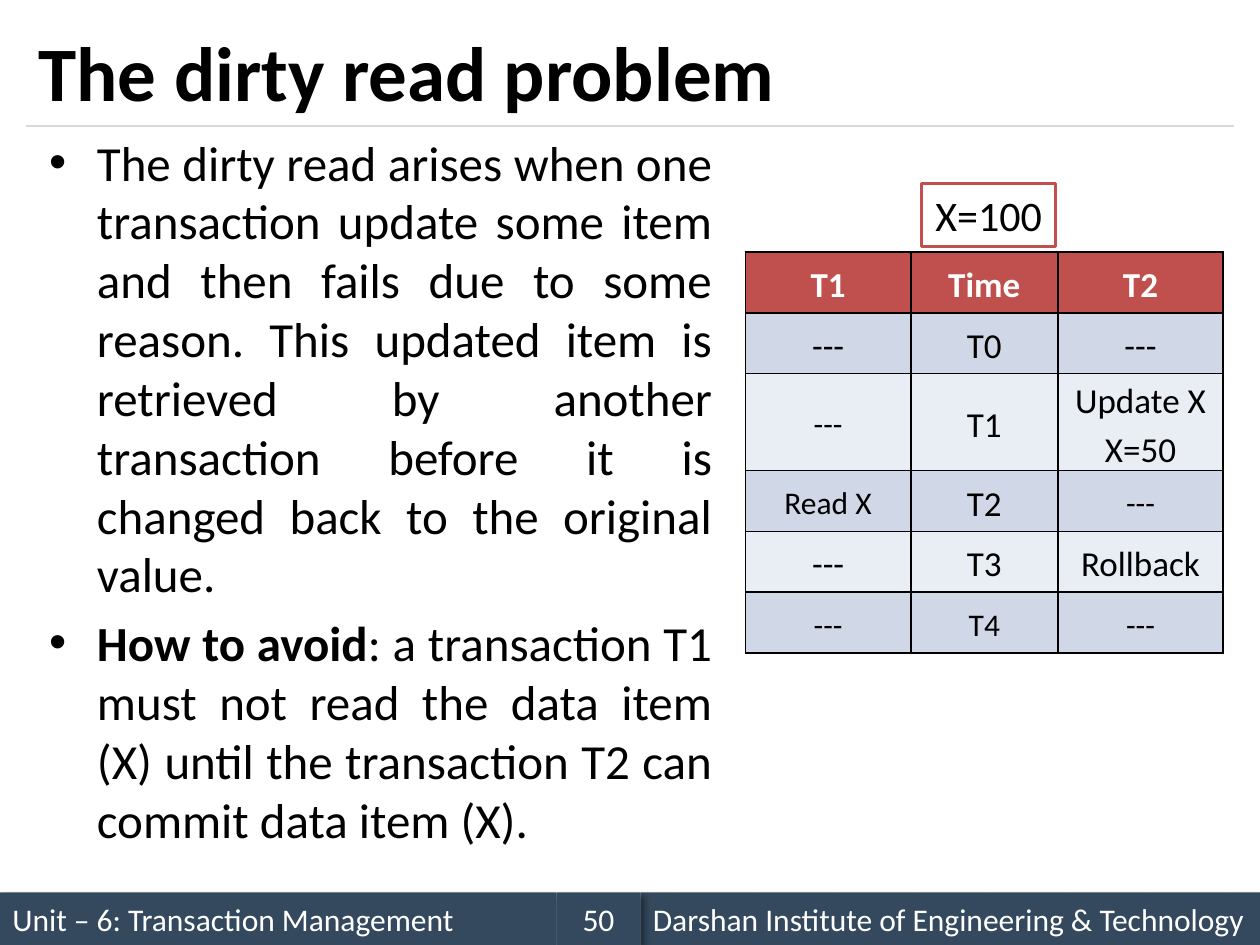
from dataclasses import dataclass

from pptx import Presentation
from pptx.dml.color import RGBColor
from pptx.enum.shapes import MSO_CONNECTOR, MSO_SHAPE
from pptx.enum.text import MSO_ANCHOR, MSO_AUTO_SIZE, PP_ALIGN
from pptx.oxml import parse_xml
from pptx.oxml.ns import nsdecls, qn
from pptx.util import Inches, Pt


@dataclass(frozen=True)
class Theme:
    face: str = "Calibri"
    ink: str = "000000"
    paper: str = "FFFFFF"
    bar: str = "34495E"
    rule: str = "D9D9D9"
    head: str = "C0504D"
    bands: tuple = ("D0D8E8", "E9EDF4")
    title: int = 44
    body: int = 28
    label: int = 24
    cell: int = 20
    small: int = 18


THEME = Theme()
COLS, ROWS = 120, 90
WIDTH, HEIGHT = Inches(10), Inches(7.5)
FOOT = 85  # grid row where the footer starts

BODY = [
    [("The dirty read arises when one transaction update some item and then "
      "fails due to some reason. This updated item is retrieved by another "
      "transaction before it is changed back to the original value.", False)],
    [("How to avoid", True),
     (": a transaction T1 must not read the data item (X) until the "
      "transaction T2 can commit data item (X).", False)],
]

# Each row: three texts, then the columns set in the small size
STEPS = [
    ("T1", "Time", "T2", ()),
    ("---", "T0", "---", ()),
    ("---", "T1", "Update X\nX=50", (0,)),
    ("Read X", "T2", "---", (0, 2)),
    ("---", "T3", "Rollback", ()),
    ("---", "T4", "---", (0, 1, 2)),
]


def col(n):
    return round(WIDTH * n / COLS)


def row(n):
    return round(HEIGHT * n / ROWS)


def place(x, y, w, h):
    return col(x), row(y), col(w), row(h)


def apply(item, **values):
    for name, value in values.items():
        setattr(item, name, value)


def paint(fill, tone):
    fill.solid()
    fill.fore_color.rgb = RGBColor.from_string(tone)


def write(para, text, size, tone=THEME.ink, bold=False):
    run = para.add_run()
    run.text = text
    apply(run.font, name=THEME.face, size=Pt(size), bold=bold)
    run.font.color.rgb = RGBColor.from_string(tone)


def add_box(slide, spot, tone):
    box = slide.shapes.add_shape(MSO_SHAPE.RECTANGLE, *spot)
    box.shadow.inherit = False
    paint(box.fill, tone)
    box.line.fill.background()
    return box


def add_bar(slide, x, y, w, text, align):
    bar = add_box(slide, place(x, y, w, 5), THEME.bar)
    bar.text_frame.vertical_anchor = MSO_ANCHOR.MIDDLE
    para = bar.text_frame.paragraphs[0]
    para.alignment = align
    write(para, text, THEME.small, THEME.paper)
    # Soft shadow to the lower right
    bar._element.spPr.find(qn("a:effectLst")).append(parse_xml(
        f'<a:outerShdw {nsdecls("a")} blurRad="{Pt(4)}" dist="{Pt(3)}" '
        f'dir="2700000" algn="tl" rotWithShape="0"><a:srgbClr val="000000">'
        f'<a:alpha val="40000"/></a:srgbClr></a:outerShdw>'))


def add_rule(slide, x, y, end):
    line = slide.shapes.add_connector(
        MSO_CONNECTOR.STRAIGHT, col(x), row(y), col(end), row(y))
    line.line.color.rgb = RGBColor.from_string(THEME.rule)
    line.line.width = Pt(0.75)
    line._element.spPr.append(parse_xml(f'<a:effectLst {nsdecls("a")}/>'))


def add_text(slide, spot, **values):
    frame = slide.shapes.add_textbox(*spot).text_frame
    apply(frame, word_wrap=True, **values)
    return frame


def add_list(slide, spot, items):
    frame = add_text(slide, spot)
    for i, parts in enumerate(items):
        para = frame.add_paragraph() if i else frame.paragraphs[0]
        para.alignment = PP_ALIGN.JUSTIFY
        if i:
            para.space_before = Pt(THEME.body * 0.2)
        props = para._p.get_or_add_pPr()
        props.set("marL", str(Inches(0.38)))
        props.set("indent", str(-Inches(0.38)))
        for mark in ('buFont typeface="Arial"', 'buChar char="•"'):
            props.append(parse_xml(f'<a:{mark} {nsdecls("a")}/>'.replace(
                " ", f' {nsdecls("a")} ', 1).replace(f' {nsdecls("a")}/>', "/>")))
        for text, bold in parts:
            write(para, text, THEME.body, bold=bold)


def add_edges(cell):
    props = cell._tc.get_or_add_tcPr()
    for i, side in enumerate(("lnL", "lnR", "lnT", "lnB")):
        props.insert(i, parse_xml(
            f'<a:{side} {nsdecls("a")} w="{Pt(1)}"><a:solidFill>'
            f'<a:srgbClr val="{THEME.ink}"/></a:solidFill></a:{side}>'))


def add_steps(slide, x, y, widths, high):
    spot = place(x, y, sum(widths), high * len(STEPS))
    grid = slide.shapes.add_table(len(STEPS), len(widths), *spot).table
    for i, wide in enumerate(widths):
        grid.columns[i].width = col(wide)
    for r, (*texts, small) in enumerate(STEPS):
        grid.rows[r].height = row(high)
        fill = THEME.bands[(r - 1) % 2] if r else THEME.head
        tone = THEME.ink if r else THEME.paper
        for c, text in enumerate(texts):
            cell = grid.cell(r, c)
            apply(cell, vertical_anchor=MSO_ANCHOR.MIDDLE,
                  margin_left=Inches(0.11), margin_right=Inches(0.11),
                  margin_top=0, margin_bottom=0)
            paint(cell.fill, fill)
            add_edges(cell)
            size = THEME.small if c in small else THEME.cell
            for i, part in enumerate(text.split("\n")):
                frame = cell.text_frame
                para = frame.add_paragraph() if i else frame.paragraphs[0]
                apply(para, alignment=PP_ALIGN.CENTER, line_spacing=1.15)
                write(para, part, size, tone, bold=r == 0)


def add_label(slide, spot, text):
    box = add_box(slide, spot, THEME.paper)
    box.line.color.rgb = RGBColor.from_string(THEME.head)
    box.line.width = Pt(2)
    apply(box.text_frame, word_wrap=False, vertical_anchor=MSO_ANCHOR.TOP,
          auto_size=MSO_AUTO_SIZE.SHAPE_TO_FIT_TEXT)
    para = box.text_frame.paragraphs[0]
    para.alignment = PP_ALIGN.CENTER
    write(para, text, THEME.label)


def main():
    deck = Presentation()
    apply(deck, slide_width=WIDTH, slide_height=HEIGHT)
    slide = deck.slides.add_slide(deck.slide_layouts[6])

    # Footer
    add_bar(slide, 0, FOOT, 53, "Unit – 6: Transaction Management", PP_ALIGN.LEFT)
    add_bar(slide, 61, FOOT, 59, "Darshan Institute of Engineering & Technology",
            PP_ALIGN.LEFT)
    add_bar(slide, 53, FOOT, 8, "50", PP_ALIGN.CENTER)

    # Title and rule
    add_rule(slide, 2.5, 12, 117.5)
    title = add_text(slide, place(2.5, 1.5, 115, 10.5),
                     vertical_anchor=MSO_ANCHOR.MIDDLE)
    write(title.paragraphs[0], "The dirty read problem", THEME.title, bold=True)

    # Schedule and explanation
    add_steps(slide, 71, 24, (15.75, 14, 15.75), 5.8)
    add_list(slide, place(3.5, 12, 65.5, 73), BODY)
    add_label(slide, place(87.75, 17.5, 12.8, 6), "X=100")

    deck.save("out.pptx")


if __name__ == "__main__":
    main()
